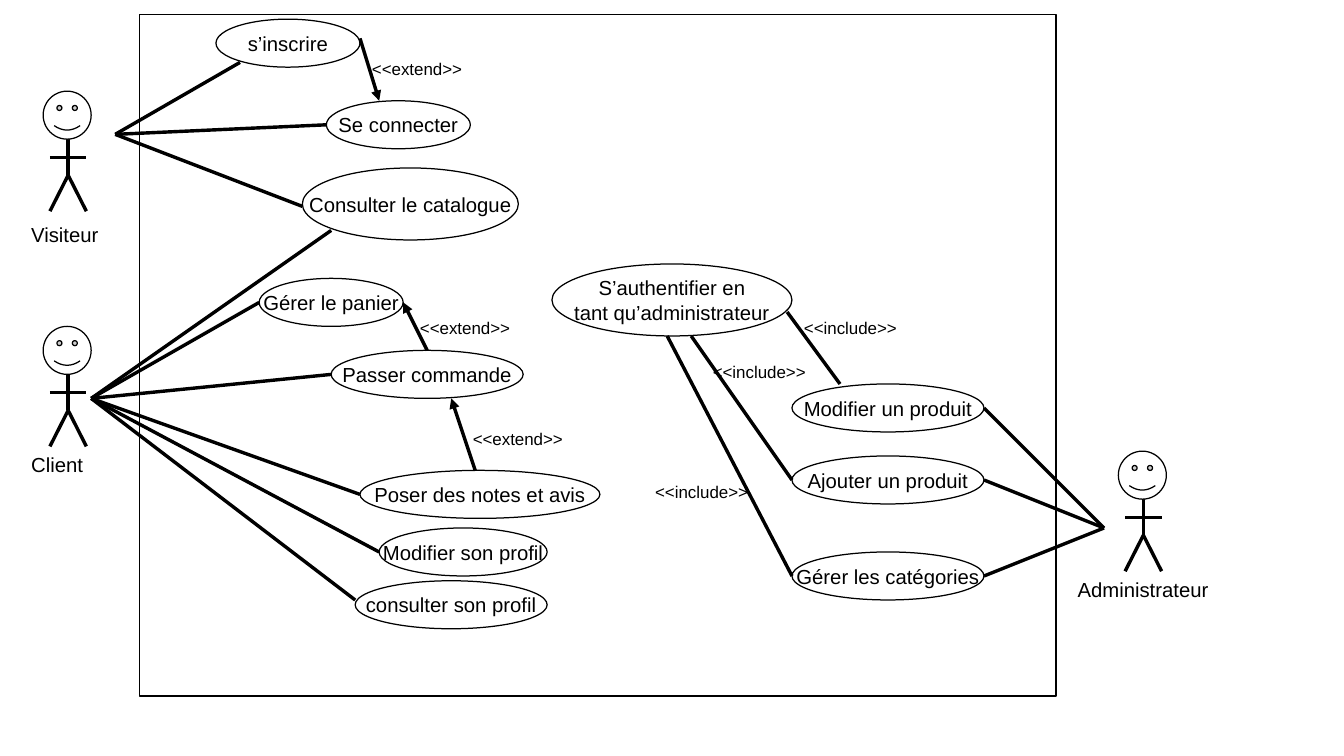
"""Build the use case diagram slide of an online shop."""
from pptx import Presentation
from pptx import util as u
from pptx.dml.color import RGBColor
from pptx.enum import shapes, text
from pptx.oxml.ns import qn
from lxml import etree

BLACK, WHITE = "000000", "FFFFFF"
BODY_FORMAT = {"name": "Arial", "size": u.Pt(12)}
RELATION_FORMAT = {"name": "Arial", "size": u.Pt(10)}

ACTORS = [
    ("Visiteur", (0.9, 1.9), (0.4, 4.5, 2.5, 0.8)),
    ("Client", (0.9, 6.8), (0.4, 9.3, 2.5, 0.8)),
    ("Administrateur", (23.3, 9.4), (22.2, 11.9, 3.5, 1.2)),
]
USE_CASES = [
    ("s’inscrire", 4.5, 0.4, 3, 1),
    ("Se connecter", 6.8, 2.1, 3, 1),
    ("Consulter le catalogue", 6.3, 3.5, 4.5, 1.5),
    ("Gérer le panier", 5.4, 5.8, 3, 1),
    ("Passer commande", 6.9, 7.3, 4, 1),
    ("Poser des notes et avis", 7.5, 9.8, 5, 1),
    ("Modifier son profil", 7.9, 11, 3.5, 1),
    ("consulter son profil", 7.4, 12.1, 4, 1),
    ("S’authentifier en\ntant qu’administrateur", 11.5, 5.5, 5, 1.5),
    ("Modifier un produit", 16.5, 8, 4, 1),
    ("Ajouter un produit", 16.5, 9.5, 4, 1),
    ("Gérer les catégories", 16.5, 11.5, 4, 1),
]
ASSOCIATIONS = {
    (2.4, 2.8): [(5, 1.3), (6.8, 2.6), (6.3, 4.3)],
    (1.9, 8.3): [(6.9, 4.8), (5.4, 6.3), (6.9, 7.8), (7.5, 10.3), (7.9, 11.5), (7.4, 12.5)],
    (23, 11): [(20.5, 8.5), (20.5, 10), (20.5, 12)],
}
EXTENDS = [
    ((7.5, 0.8), (7.9, 2.1), (7.5, 1.1)),
    ((8.9, 7.3), (8.4, 6.3), (8.5, 6.5)),
    ((9.9, 9.8), (9.4, 8.3), (9.6, 8.8)),
]
INCLUDES = [
    ((17.5, 8), (16.4, 6.5), (16.5, 6.5)),
    ((16.5, 10), (14.4, 7), (14.6, 7.4)),
    ((16.5, 12), (13.9, 7), (13.4, 9.9)),
]


def color(value):
    """Turn a hex string into a colour."""
    return RGBColor.from_string(value)


def lengths(*values):
    """Turn centimetres into lengths."""
    return [u.Cm(value) for value in values]


def style_line(line):
    """Give a line the black hairline style."""
    line.color.rgb = color(BLACK)
    line.width = u.Pt(0)


def write(shape, content, font_format, alignment):
    """Write one paragraph per line of content."""
    shape.text_frame.text = content
    for paragraph in shape.text_frame.paragraphs:
        paragraph.alignment = alignment
        for name, value in font_format.items():
            setattr(paragraph.font, name, value)
        paragraph.font.color.rgb = color(BLACK)


def add_outline(slide, kind, box):
    """Add a white preset shape with a hairline."""
    shape = slide.shapes.add_shape(kind, *lengths(*box))
    shape.shadow.inherit = False
    shape.fill.solid()
    shape.fill.fore_color.rgb = color(WHITE)
    style_line(shape.line)
    return shape


def add_line(slide, start, end, arrow=False):
    """Add a straight hairline, with an arrowhead at its end if asked."""
    connector = slide.shapes.add_connector(
        shapes.MSO_CONNECTOR.STRAIGHT, *lengths(*start, *end))
    style_line(connector.line)
    properties = connector._element.spPr
    if arrow:
        etree.SubElement(properties.find(qn("a:ln")), qn("a:tailEnd"), type="triangle")
    etree.SubElement(properties, qn("a:effectLst"))


def add_label(slide, content, box, font_format):
    """Add a left aligned text box."""
    label = slide.shapes.add_textbox(*lengths(*box))
    label.text_frame.word_wrap = True
    write(label, content, font_format, text.PP_ALIGN.LEFT)


def add_actor(slide, name, head, name_box):
    """Add a stick figure with its name."""
    left, top = head
    middle, neck = left + 0.52, top + 1
    hip, feet = neck + 0.75, neck + 1.5
    add_line(slide, (middle, neck), (middle, hip))
    add_line(slide, (middle - 0.38, neck + 0.38), (middle + 0.38, neck + 0.38))
    for side in (-0.38, 0.38):
        add_line(slide, (middle, hip), (middle + side, feet))
    add_outline(slide, shapes.MSO_SHAPE.SMILEY_FACE, (left, top, 1, 1))
    add_label(slide, name, name_box, BODY_FORMAT)


def add_use_case(slide, name, *box):
    """Add an ellipse with a centred name."""
    ellipse = add_outline(slide, shapes.MSO_SHAPE.OVAL, box)
    ellipse.text_frame.word_wrap = False
    ellipse.text_frame.vertical_anchor = text.MSO_ANCHOR.MIDDLE
    write(ellipse, name, BODY_FORMAT, text.PP_ALIGN.CENTER)


def add_relations(slide, name, relations, label_size, arrow):
    """Add the labelled lines between use cases."""
    for start, end, corner in relations:
        add_line(slide, start, end, arrow)
        add_label(slide, name, (*corner, *label_size), RELATION_FORMAT)


def main():
    """Build and save the slide."""
    presentation = Presentation()
    presentation.slide_width, presentation.slide_height = lengths(28, 15.75)
    slide = presentation.slides.add_slide(presentation.slide_layouts[6])
    add_outline(slide, shapes.MSO_SHAPE.RECTANGLE, (2.9, 0.3, 19.1, 14.2))
    for actor in ACTORS:
        add_actor(slide, *actor)
    for hub, ends in ASSOCIATIONS.items():
        for end in ends:
            add_line(slide, end, hub)
    for use_case in USE_CASES:
        add_use_case(slide, *use_case)
    add_relations(slide, "<<extend>>", EXTENDS, (2.9, 1.2), True)
    add_relations(slide, "<<include>>", INCLUDES, (2.5, 0.7), False)
    presentation.save("out.pptx")


if __name__ == "__main__":
    main()
